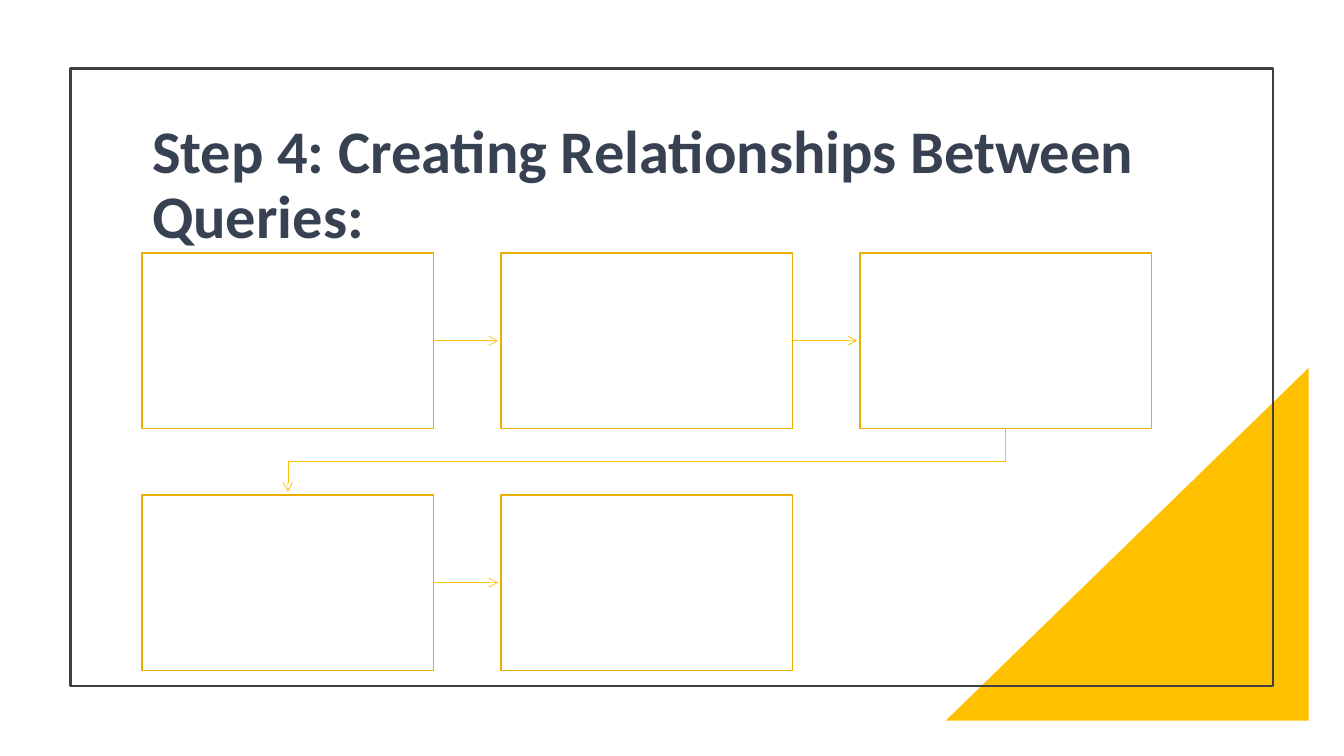
from pptx import Presentation
from pptx.dml.color import RGBColor
from pptx.enum.shapes import MSO_CONNECTOR, MSO_SHAPE
from pptx.enum.text import MSO_ANCHOR, PP_ALIGN
from pptx.oxml.ns import qn
from pptx.util import Inches, Pt
from lxml import etree

RECTANGLE, TRIANGLE = MSO_SHAPE.RECTANGLE, MSO_SHAPE.RIGHT_TRIANGLE
STRAIGHT = MSO_CONNECTOR.STRAIGHT

TITLE = "Step 4: Creating Relationships Between Queries:"
TITLE_FORMAT = {"name": "Calibri", "size": Pt(43.2), "bold": True}
COLORS = {"title": "374151", "frame": "404040", "accent": "FFC000",
          "step_line": "E7AE00", "step_fill": "FFFFFF"}

# Boxes are (left, top, width, height) in inches
FRAME = (0.7, 0.68, 11.93, 6.13)
CORNER = (9.38, 3.65, 3.6, 3.5)
TITLE_BOX = (1.41, 1.15, 10.87, 1.77)

STEPS, COLUMNS = 5, 3
GRID_LEFT, GRID_TOP = 1.41, 2.51
STEP_WIDTH, STEP_HEIGHT = 2.89, 1.74
PITCH_X, PITCH_Y = 3.56, 2.4
ARROW_GAP = 0.03


def color(key):
    return RGBColor.from_string(COLORS[key])


def add_box(slide, kind, box, fill=None, line=None, width=1):
    shape = slide.shapes.add_shape(kind, *map(Inches, box))
    shape.shadow.inherit = False
    if fill:
        shape.fill.solid()
        shape.fill.fore_color.rgb = color(fill)
    else:
        shape.fill.background()
    if line:
        shape.line.color.rgb = color(line)
        shape.line.width = Pt(width)
    else:
        shape.line.fill.background()
    return shape


def add_arrow(slide, points):
    """Draw a straight connector for two points, a bent open line for more."""
    if len(points) == 2:
        ends = [Inches(length) for point in points for length in point]
        arrow = slide.shapes.add_connector(STRAIGHT, *ends)
    else:
        start, *bends = [tuple(map(Inches, point)) for point in points]
        builder = slide.shapes.build_freeform(*start)
        builder.add_line_segments(bends, close=False)
        arrow = builder.convert_to_shape()
        arrow.fill.background()
    arrow.line.color.rgb = color("accent")
    arrow.line.width = Pt(0.5)
    etree.SubElement(arrow.line._get_or_add_ln(), qn("a:tailEnd"), type="arrow")
    etree.SubElement(arrow._element.spPr, qn("a:effectLst"))


def add_title(slide):
    frame = slide.shapes.add_textbox(*map(Inches, TITLE_BOX)).text_frame
    frame.word_wrap = True
    frame.vertical_anchor = MSO_ANCHOR.TOP
    paragraph = frame.paragraphs[0]
    paragraph.alignment = PP_ALIGN.LEFT
    paragraph.line_spacing = 0.9
    run = paragraph.add_run()
    run.text = TITLE
    for attribute, value in TITLE_FORMAT.items():
        setattr(run.font, attribute, value)
    run.font.color.rgb = color("title")


def step_corner(step):
    row, column = divmod(step, COLUMNS)
    return GRID_LEFT + column * PITCH_X, GRID_TOP + row * PITCH_Y


def arrow_points(step):
    """Route from one step to the next, bending where the row ends."""
    left, top = step_corner(step)
    next_left, next_top = step_corner(step + 1)
    if top == next_top:
        middle = top + STEP_HEIGHT / 2
        return [(left + STEP_WIDTH, middle), (next_left - ARROW_GAP, middle)]
    center, next_center = left + STEP_WIDTH / 2, next_left + STEP_WIDTH / 2
    bottom = top + STEP_HEIGHT
    bend = (bottom + next_top) / 2
    return [(center, bottom), (center, bend), (next_center, bend),
            (next_center, next_top - ARROW_GAP)]


def main():
    deck = Presentation()
    deck.slide_width, deck.slide_height = Inches(13.33), Inches(7.5)
    slide = deck.slides.add_slide(deck.slide_layouts[6])

    corner = add_box(slide, TRIANGLE, CORNER, fill="accent")
    corner._element.spPr.xfrm.set("flipH", "1")
    add_box(slide, RECTANGLE, FRAME, line="frame", width=1.5)
    add_title(slide)
    for step in range(STEPS):
        if step < STEPS - 1:
            add_arrow(slide, arrow_points(step))
        add_box(slide, RECTANGLE, (*step_corner(step), STEP_WIDTH, STEP_HEIGHT),
                fill="step_fill", line="step_line")

    deck.save("out.pptx")


if __name__ == "__main__":
    main()
